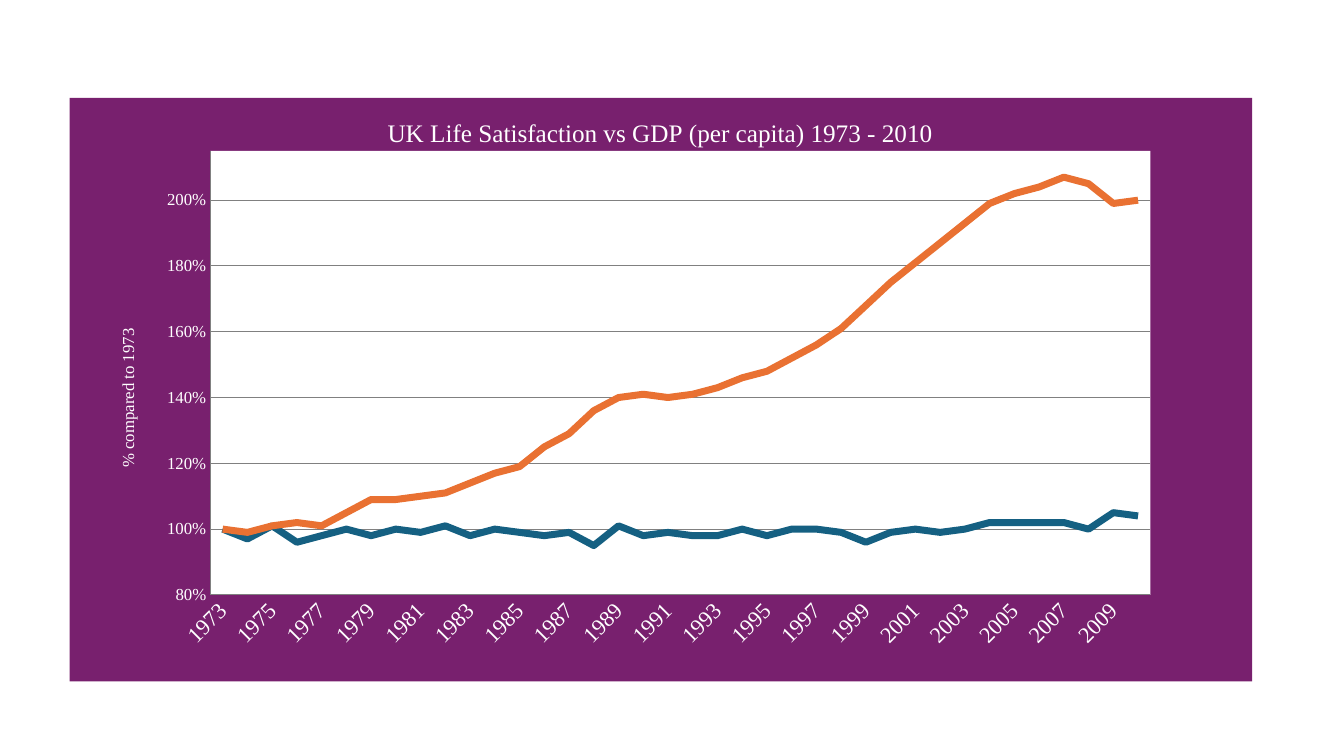
from dataclasses import dataclass

from lxml import etree
from pptx import Presentation
from pptx.chart.data import CategoryChartData
from pptx.dml.color import RGBColor
from pptx.enum.chart import XL_CHART_TYPE, XL_TICK_MARK
from pptx.oxml import parse_xml
from pptx.oxml.ns import qn
from pptx.util import Inches, Pt

LINE_CHART = XL_CHART_TYPE.LINE
NO_TICKS = XL_TICK_MARK.NONE
C_NS = "http://schemas.openxmlformats.org/drawingml/2006/chart"
A_NS = "http://schemas.openxmlformats.org/drawingml/2006/main"


@dataclass(frozen=True)
class Theme:
    """Colours, fonts and sizes of the slide."""
    panel: str = "78206E"
    plot: str = "FFFFFF"
    text: str = "FFFFFF"
    base_text: str = "000000"
    grid: str = "808080"
    satisfaction: str = "156082"
    gdp: str = "E97132"
    font: str = "Times New Roman"
    base_font: str = "Arial"
    base_size: int = 10
    title_size: int = 18
    year_size: int = 16
    percent_size: int = 12
    line_width: float = 5
    grid_width: float = 0.75


THEME = Theme()
YEARS = range(1973, 2011)
SATISFACTION = (
    1, 0.97, 1.01, 0.96, 0.98, 1, 0.98, 1, 0.99, 1.01, 0.98, 1, 0.99,
    0.98, 0.99, 0.95, 1.01, 0.98, 0.99, 0.98, 0.98, 1, 0.98, 1, 1, 0.99,
    0.96, 0.99, 1, 0.99, 1, 1.02, 1.02, 1.02, 1.02, 1, 1.05, 1.04,
)
GDP = (
    1, 0.99, 1.01, 1.02, 1.01, 1.05, 1.09, 1.09, 1.1, 1.11, 1.14, 1.17, 1.19,
    1.25, 1.29, 1.36, 1.4, 1.41, 1.4, 1.41, 1.43, 1.46, 1.48, 1.52, 1.56, 1.61,
    1.68, 1.75, 1.81, 1.87, 1.93, 1.99, 2.02, 2.04, 2.07, 2.05, 1.99, 2,
)
SERIES = (("Series 1", SATISFACTION, THEME.satisfaction),
          ("Series 2", GDP, THEME.gdp))


def style_font(font, size, color=THEME.text, name=THEME.font):
    """Set size, colour and typeface of a font."""
    font.size = Pt(size)
    font.bold = False
    font.name = name
    font.color.rgb = RGBColor.from_string(color)


def style_line(line, color, width):
    """Set colour and width of a line."""
    line.color.rgb = RGBColor.from_string(color)
    line.width = Pt(width)


def area_fill(color):
    """Return shape properties with a solid fill and no outline."""
    return parse_xml(
        f'<c:spPr xmlns:c="{C_NS}" xmlns:a="{A_NS}"><a:solidFill>'
        f'<a:srgbClr val="{color}"/></a:solidFill><a:ln><a:noFill/></a:ln></c:spPr>')


def set_layout(parent, index, **fractions):
    """Place a chart part by fractions of the chart's size."""
    for old in parent.findall(qn("c:layout")):
        parent.remove(old)
    layout = etree.Element(qn("c:layout"))
    manual = etree.SubElement(layout, qn("c:manualLayout"))
    if "w" in fractions:
        etree.SubElement(manual, qn("c:layoutTarget"), val="inner")
    for key in ("x", "y"):
        etree.SubElement(manual, qn(f"c:{key}Mode"), val="edge")
    for key, value in fractions.items():
        etree.SubElement(manual, qn(f"c:{key}"), val=str(value))
    parent.insert(index, layout)


def write_title(title, text, size, x, y):
    """Write a chart or axis title at a place in the chart."""
    span = title.text_frame.paragraphs[0].add_run()
    span.text = text
    style_font(span.font, size)
    set_layout(title._element, 1, x=x, y=y)


def rotate_text(element, degrees):
    """Turn the text held by a chart element."""
    body = next(element.iter(qn("a:bodyPr")))
    body.set("rot", str(degrees * 60000))
    body.set("vert", "horz")


def style_year_axis(axis):
    """Show every second year on a slant."""
    axis.major_tick_mark = axis.minor_tick_mark = NO_TICKS
    axis.has_major_gridlines = False
    style_font(axis.tick_labels.font, THEME.year_size)
    style_line(axis.format.line, THEME.grid, THEME.grid_width)
    rotate_text(axis._element.find(qn("c:txPr")), -45)
    skip = etree.Element(qn("c:tickLblSkip"), val="2")
    axis._element.find(qn("c:noMultiLvlLbl")).addprevious(skip)


def style_percent_axis(axis):
    """Set the scale, gridlines and title of the percentage axis."""
    axis.minimum_scale, axis.maximum_scale, axis.major_unit = 0.8, 2.15, 0.2
    axis.major_tick_mark = axis.minor_tick_mark = NO_TICKS
    axis.has_major_gridlines = True
    style_line(axis.major_gridlines.format.line, THEME.grid, THEME.grid_width)
    style_line(axis.format.line, THEME.grid, THEME.grid_width)
    style_font(axis.tick_labels.font, THEME.percent_size)
    axis.tick_labels.number_format = "0%"
    axis.tick_labels.number_format_is_linked = False
    write_title(axis.axis_title, "% compared to 1973", THEME.percent_size, 0.038, 0.39)
    rotate_text(axis.axis_title._element, -90)


def add_trend_chart(page, left, top, width, height):
    """Draw the life satisfaction and GDP lines in the given box."""
    data = CategoryChartData(number_format="0%")
    data.categories = [str(year) for year in YEARS]
    for name, values, _ in SERIES:
        data.add_series(name, values)
    chart = page.shapes.add_chart(LINE_CHART, left, top, width, height, data).chart
    chart.has_legend = False
    style_font(chart.font, THEME.base_size, THEME.base_text, THEME.base_font)
    write_title(chart.chart_title, "UK Life Satisfaction vs GDP (per capita) 1973 - 2010",
                THEME.title_size, 0.265, 0.025)
    chart.chart_title.include_in_layout = False
    style_year_axis(chart.category_axis)
    style_percent_axis(chart.value_axis)
    chart.plots[0].vary_by_categories = False
    for line, (_, _, color) in zip(chart.plots[0].series, SERIES):
        line.smooth = False
        style_line(line.format.line, color, THEME.line_width)
    space = chart._chartSpace
    plot_area = next(space.iter(qn("c:plotArea")))
    set_layout(plot_area, 0, x=0.119, y=0.091, w=0.795, h=0.761)
    plot_area.append(area_fill(THEME.plot))
    space.find(qn("c:chart")).addnext(area_fill(THEME.panel))


def main():
    """Build and save the slide."""
    deck = Presentation()
    deck.slide_width, deck.slide_height = Inches(13.33), Inches(7.5)
    page = deck.slides.add_slide(deck.slide_layouts[6])
    add_trend_chart(page, Inches(0.69), Inches(0.97), Inches(11.73), Inches(5.79))
    deck.save("out.pptx")


if __name__ == "__main__":
    main()
